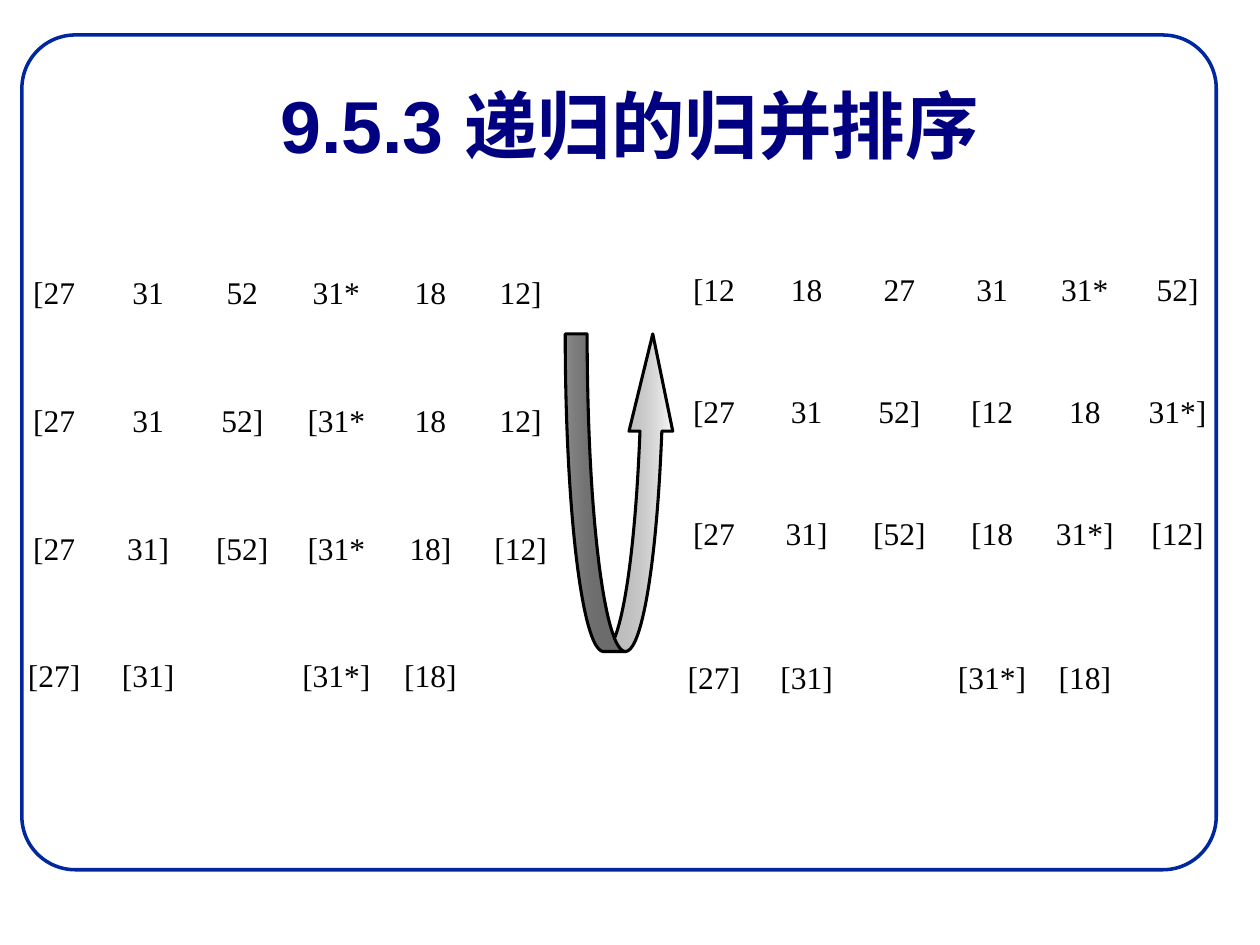
"""Build a slide on recursive merge sort, splitting on the left and merging on the right."""
from lxml.etree import SubElement
from pptx import Presentation
from pptx.dml.color import RGBColor
from pptx.enum.shapes import MSO_SHAPE
from pptx.enum.text import MSO_ANCHOR, PP_ALIGN
from pptx.oxml.ns import qn
from pptx.util import Pt

NO_GRID_STYLE = "{2D5ABB26-0587-4C30-8999-92F81FD0307C}"
TITLE_FONT = {"name": "Arial", "size": Pt(42), "bold": True}
NUMBER_FONT = {"name": "Times New Roman", "size": Pt(18), "bold": False}
MARGINS = {"margin_left": Pt(6.5), "margin_right": Pt(6.5),
           "margin_top": Pt(3.6), "margin_bottom": Pt(3.6)}

SPLIT_STEPS = [
    ["[27", "31", "52", "31*", "18", "12]"],
    ["[27", "31", "52]", "[31*", "18", "12]"],
    ["[27", "31]", "[52]", "[31*", "18]", "[12]"],
    ["[27]", "[31]", "", "[31*]", "[18]", ""],
]
GAP = [""] * 6
MERGE_STEPS = [
    ["[12", "18", "27", "31", "31*", "52]"],
    GAP,
    ["[27", "31", "52]", "[12", "18", "31*]"],
    GAP,
    ["[27", "31]", "[52]", "[18", "31*]", "[12]"],
    GAP,
    ["[27]", "[31]", "", "[31*]", "[18]", ""],
]


def color(value):
    return RGBColor.from_string(value)


def apply(target, values):
    for name, value in values.items():
        setattr(target, name, value)


class SlideBuilder:
    """Hold the style and the current slide."""

    def __init__(self, slide):
        self.slide = slide

    def centered_text(self, paragraph, text, font, font_color):
        paragraph.alignment = PP_ALIGN.CENTER
        run = paragraph.add_run()
        run.text = text
        apply(run.font, font)
        run.font.color.rgb = color(font_color)

    def title(self, text, left, top, width, height):
        shape = self.slide.shapes.title
        apply(shape, {"left": Pt(left), "top": Pt(top),
                      "width": Pt(width), "height": Pt(height)})
        shape.text_frame.vertical_anchor = MSO_ANCHOR.TOP
        self.centered_text(shape.text_frame.paragraphs[0], text, TITLE_FONT, "000080")

    def shape(self, kind, box, adjustments, line_color, line_width):
        shape = self.slide.shapes.add_shape(kind, *map(Pt, box))
        shape.shadow.inherit = False
        for index, value in enumerate(adjustments):
            shape.adjustments[index] = value
        shape.fill.background()
        shape.line.color.rgb = color(line_color)
        shape.line.width = Pt(line_width)
        return shape

    def gradient(self, shape, start, end, start_opacity):
        shape.fill.gradient()
        shape.fill.gradient_angle = 0
        for stop, value in zip(shape.fill.gradient_stops, (start, end)):
            stop.color.rgb = color(value)
        first_color = shape._element.spPr.find(".//" + qn("a:srgbClr"))
        SubElement(first_color, qn("a:alpha"), val=str(start_opacity * 1000))

    def table(self, steps, left, top, column_widths, row_heights):
        frame = self.slide.shapes.add_table(
            len(steps), len(column_widths), Pt(left), Pt(top),
            Pt(sum(column_widths)), Pt(sum(row_heights)))
        table = frame.table
        apply(table, {"first_row": False, "horz_banding": False})
        table._tbl.tblPr.find(qn("a:tableStyleId")).text = NO_GRID_STYLE
        for column, width in zip(table.columns, column_widths):
            column.width = Pt(width)
        for row, height, step in zip(table.rows, row_heights, steps):
            row.height = Pt(height)
            for cell, text in zip(row.cells, step):
                apply(cell, {"vertical_anchor": MSO_ANCHOR.BOTTOM, **MARGINS})
                cell.fill.background()
                if text:
                    self.centered_text(cell.text_frame.paragraphs[0], text,
                                       NUMBER_FONT, "000000")


def main():
    presentation = Presentation()
    apply(presentation, {"slide_width": Pt(720), "slide_height": Pt(540)})
    builder = SlideBuilder(presentation.slides.add_slide(presentation.slide_layouts[5]))
    builder.shape(MSO_SHAPE.ROUNDED_RECTANGLE, (12.5, 20, 682.5, 477), [0.064], "00279F", 2)
    builder.title("9.5.3 递归的归并排序", 53.5, 42, 612.5, 75.5)
    builder.table(SPLIT_STEPS, 4, 139.5, [53.8] * 5 + [49.4], [42] + [73] * 3)
    builder.table(MERGE_STEPS, 381.5, 151, [53] * 6, [28.8, 41] * 3 + [41])
    arrow = builder.shape(MSO_SHAPE.CURVED_UP_ARROW, (323, 190.8, 62.5, 181.5),
                          [0.2, 0.4, 0.889], "000000", 1.75)
    builder.gradient(arrow, "000000", "FFFFFF", 46)
    presentation.save("out.pptx")


if __name__ == "__main__":
    main()
